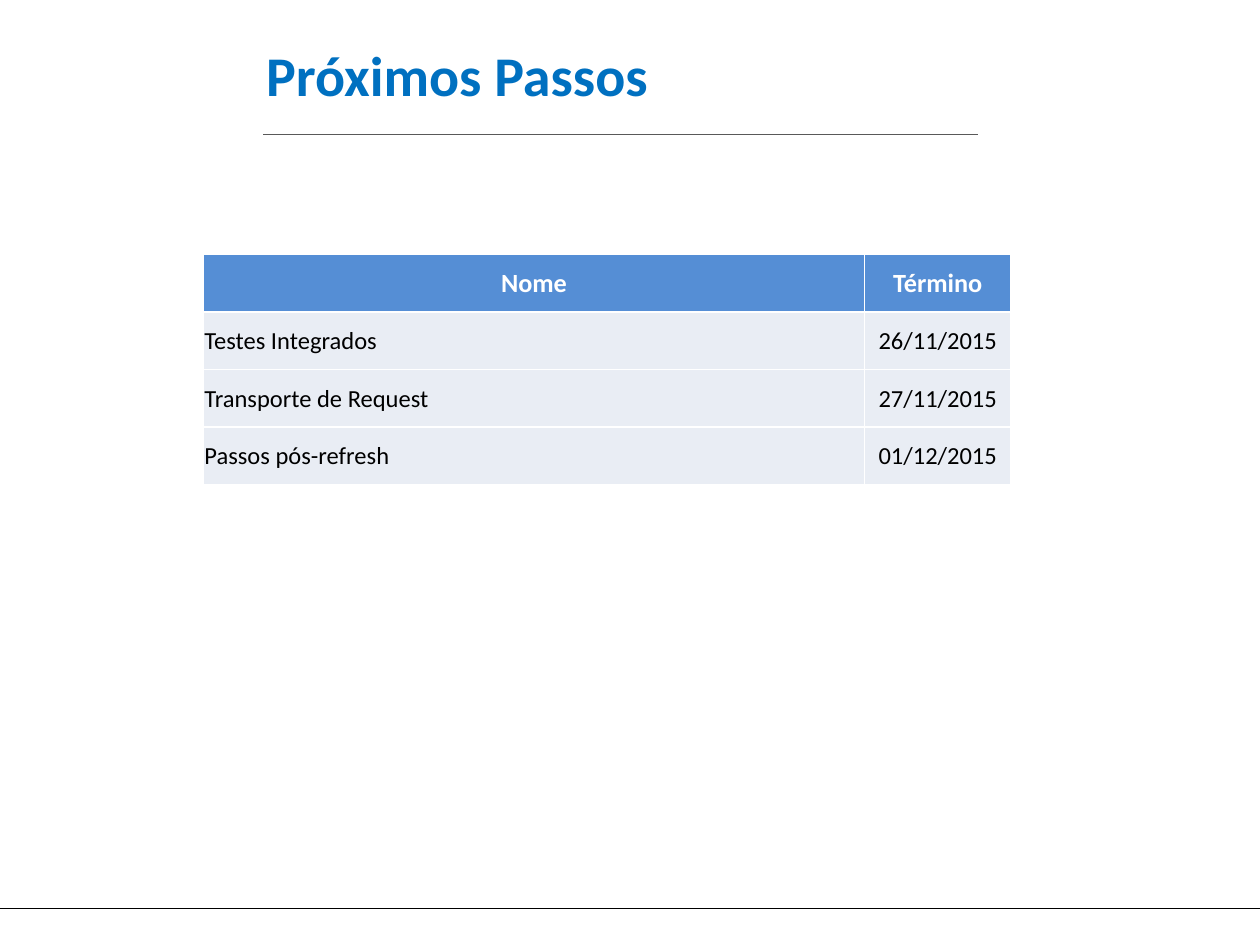
import pptx
import pptx.util
import pptx.dml.color
import pptx.enum.shapes
import pptx.enum.text
import pptx.oxml
import pptx.oxml.ns
from pptx.util import Cm

RGBColor = pptx.dml.color.RGBColor
BLACK = RGBColor(0x00, 0x00, 0x00)
WHITE = RGBColor(0xFF, 0xFF, 0xFF)
GREY = RGBColor(0x59, 0x59, 0x59)
TITLE_BLUE = RGBColor(0x00, 0x70, 0xC0)
HEADER_BLUE = RGBColor(0x55, 0x8E, 0xD5)
ROW_TINT = RGBColor(0xE9, 0xED, 0xF4)

ALIGN = pptx.enum.text.PP_ALIGN
MIDDLE = pptx.enum.text.MSO_ANCHOR.MIDDLE


def apply_format(target, values):
    for attribute, value in values.items():
        setattr(target, attribute, value)


def format_text(paragraph, alignment, size, bold, color):
    paragraph.alignment = alignment
    font = paragraph.runs[0].font
    apply_format(font, {"name": "Calibri", "size": pptx.util.Pt(size), "bold": bold})
    font.color.rgb = color


deck = pptx.Presentation()
apply_format(deck, {"slide_width": Cm(25.4), "slide_height": Cm(19.05)})
slide = deck.slides.add_slide(deck.slide_layouts[5])

rules = [
    (0, 25.4, 18.31, BLACK, 0.75),
    (5.31, 19.71, 2.72, GREY, 0.5),
]
for start, end, y, color, width in rules:
    rule = slide.shapes.add_connector(
        pptx.enum.shapes.MSO_CONNECTOR.STRAIGHT, Cm(start), Cm(y), Cm(end), Cm(y)
    )
    rule.line.color.rgb = color
    rule.line.width = pptx.util.Pt(width)
    rule.element.spPr.append(pptx.oxml.parse_xml(
        f"<a:effectLst {pptx.oxml.ns.nsdecls('a')}/>"
    ))

heading = slide.shapes.title
apply_format(heading, {
    "left": Cm(5.11), "top": Cm(0.38), "width": Cm(15.67), "height": Cm(2.21),
})
heading.text_frame.text = "Próximos Passos"
heading.text_frame.vertical_anchor = MIDDLE
format_text(heading.text_frame.paragraphs[0], ALIGN.LEFT, 32, True, TITLE_BLUE)

steps = [
    ("Nome", "Término"),
    ("Testes Integrados", "26/11/2015"),
    ("Transporte de Request", "27/11/2015"),
    ("Passos pós-refresh", "01/12/2015"),
]
column_widths = [13.33, 2.95]
row_height = 1.16
schedule = slide.shapes.add_table(
    len(steps), len(column_widths), Cm(4.1), Cm(5.13),
    Cm(sum(column_widths)), Cm(row_height * len(steps)),
).table
schedule.horz_banding = False
for column, width in zip(schedule.columns, column_widths):
    column.width = Cm(width)

cell_format = {
    "margin_left": Cm(0.02), "margin_right": Cm(0.02),
    "margin_top": Cm(0.02), "margin_bottom": 0, "vertical_anchor": MIDDLE,
}
for row, step in enumerate(steps):
    schedule.rows[row].height = Cm(row_height)
    is_header = row == 0
    for col, wording in enumerate(step):
        cell = schedule.cell(row, col)
        cell.text = wording
        apply_format(cell, cell_format)
        cell_properties = cell._tc.get_or_add_tcPr()
        for edge in ("lnL", "lnR", "lnT", "lnB"):
            cell_properties.append(pptx.oxml.parse_xml(
                f'<a:{edge} {pptx.oxml.ns.nsdecls("a")} w="12700"><a:solidFill>'
                f'<a:srgbClr val="{WHITE}"/></a:solidFill></a:{edge}>'
            ))
        cell.fill.solid()
        cell.fill.fore_color.rgb = HEADER_BLUE if is_header else ROW_TINT
        format_text(
            cell.text_frame.paragraphs[0],
            ALIGN.CENTER if is_header or col == 1 else ALIGN.LEFT,
            15 if is_header else 14,
            is_header,
            WHITE if is_header else BLACK,
        )

deck.save("out.pptx")
